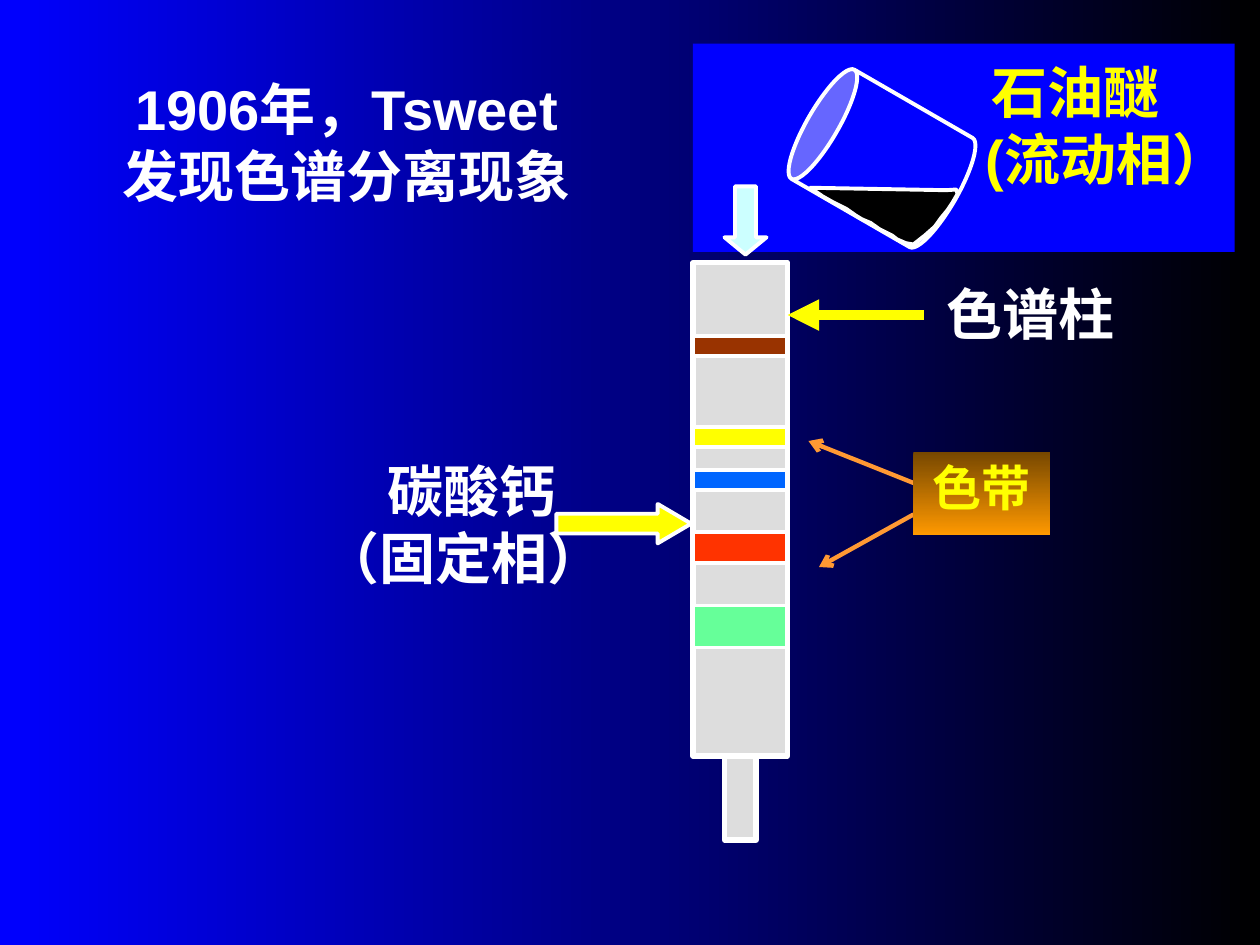
from typing import NamedTuple

from lxml import etree
from pptx import Presentation
from pptx.dml.color import RGBColor
from pptx.enum import shapes, text
from pptx.oxml import ns
from pptx.util import Pt

WHITE = RGBColor(0xFF, 0xFF, 0xFF)
BLACK = RGBColor(0x00, 0x00, 0x00)
BLUE = RGBColor(0x00, 0x00, 0xFF)
YELLOW = RGBColor(0xFF, 0xFF, 0x00)
GREY = RGBColor(0xDD, 0xDD, 0xDD)
BROWN = RGBColor(0x99, 0x33, 0x00)
SKY = RGBColor(0x00, 0x66, 0xFF)
RED = RGBColor(0xFF, 0x33, 0x00)
GREEN = RGBColor(0x66, 0xFF, 0x99)
PALE_CYAN = RGBColor(0xCC, 0xFF, 0xFF)
ORANGE = RGBColor(0xFF, 0x99, 0x33)
TAG_TOP = RGBColor(0x76, 0x47, 0x00)
TAG_BOTTOM = RGBColor(0xFF, 0x99, 0x00)

KIND = shapes.MSO_SHAPE
CENTER = text.PP_ALIGN.CENTER
MIDDLE = text.MSO_ANCHOR.MIDDLE
COLUMN_LEFT, COLUMN_WIDTH = 396, 54


class Box(NamedTuple):
    left: float
    top: float
    width: float
    height: float

    def lengths(self) -> list:
        return [Pt(value) for value in self]


class Solid(NamedTuple):
    kind: int
    box: Box
    fill: RGBColor
    line_width: float = 2.25
    adjustments: tuple = ()
    rotation: float = 0


class Line(NamedTuple):
    start: tuple
    end: tuple
    color: RGBColor
    width: float
    head: str


class Label(NamedTuple):
    box: Box
    lines: tuple  # pairs of wording and left indent
    color: RGBColor
    font: str = "Arial"
    centered: bool = True


def band(top: float, height: float, color: RGBColor) -> Solid:
    return Solid(KIND.RECTANGLE, Box(COLUMN_LEFT, top, COLUMN_WIDTH, height), color)


APPARATUS = (
    Solid(KIND.RECTANGLE, Box(COLUMN_LEFT, 150, COLUMN_WIDTH, 282), GREY, 3),
    Solid(KIND.RECTANGLE, Box(414, 432, 18, 48), GREY, 3),
    band(192, 11.5, BROWN),
    band(244, 11.5, YELLOW),
    band(268.5, 11.5, SKY),
    band(304, 18, RED),
    band(346, 24, GREEN),
    Solid(KIND.RIGHT_ARROW, Box(318, 288, 77, 22.5), YELLOW, 2.25, (0.5, 0.85)),
    Solid(KIND.RECTANGLE, Box(396, 25, 309.5, 119), BLUE, 0),
    Solid(KIND.CAN, Box(468, 42.5, 72, 96), BLUE, 2.25, (0.25,), 300),
)
DOWN_ARROW = Solid(KIND.DOWN_ARROW, Box(414, 106.5, 24, 39), PALE_CYAN, 2.25, (0.5, 0.41))

LIQUID = (
    (463, 107.3), (540.7, 108.7), (546.5, 108.3), (547.2, 110.9), (544.3, 115.9),
    (541.4, 120.2), (537.8, 124.6), (534.2, 129.6), (528.5, 134.6), (522, 139.7),
    (517.7, 139), (512.6, 136.8), (509.8, 134.6), (502.6, 131), (497.5, 127.4),
    (492.5, 125.3), (488.9, 123.1), (483.8, 119.5), (476.6, 115.9), (470.2, 112.3),
)

LABELS = (
    Label(Box(166.5, 257, 196.5, 84), (("碳酸钙", 9), ("（固定相）", 0)), WHITE),
    Label(Box(516.5, 29, 196.5, 84), (("石油醚", 0), ("(流动相）", 35.5)), YELLOW),
    Label(Box(534, 156, 138, 46), (("色谱柱", 0),), WHITE, "Times New Roman", False),
)

LINES = (
    Line((528, 180), (450, 180), YELLOW, 6, "triangle"),
    Line((522, 276), (462, 252), ORANGE, 2.5, "arrow"),
    Line((522, 294), (468, 324), ORANGE, 2.5, "arrow"),
)


def add_run(paragraph, wording: str, size: float, color: RGBColor, font: str) -> None:
    run = paragraph.add_run()
    run.text = wording
    run.font.size = Pt(size)
    run.font.bold = True
    run.font.name = font
    run.font.color.rgb = color


def set_indent(paragraph, left: float, first: float = 0) -> None:
    properties = paragraph._p.get_or_add_pPr()
    properties.set("marL", str(Pt(left)))
    properties.set("indent", str(Pt(first)))


def paint(shape, fill: RGBColor, line_width: float) -> None:
    shape.shadow.inherit = False
    shape.fill.solid()
    shape.fill.fore_color.rgb = fill
    if line_width:
        shape.line.color.rgb = WHITE
        shape.line.width = Pt(line_width)
    else:
        shape.line.fill.background()


def set_gradient(fill, colors: tuple, angle: float) -> None:
    fill.gradient()
    fill.gradient_angle = angle
    for stop, color in zip(fill.gradient_stops, colors):
        stop.color.rgb = color


def draw_solid(slide, solid: Solid) -> None:
    shape = slide.shapes.add_shape(solid.kind, *solid.box.lengths())
    paint(shape, solid.fill, solid.line_width)
    for index, value in enumerate(solid.adjustments):
        shape.adjustments[index] = value
    shape.rotation = solid.rotation


def draw_liquid(slide) -> None:
    tenths = [(x * 10, y * 10) for x, y in LIQUID]
    builder = slide.shapes.build_freeform(*tenths[0], scale=Pt(1) / 10)
    builder.add_line_segments(tenths[1:], close=True)
    paint(builder.convert_to_shape(), BLACK, 2.25)


def draw_label(slide, label: Label) -> None:
    frame = slide.shapes.add_textbox(*label.box.lengths()).text_frame
    frame.word_wrap = not label.centered
    if label.centered:
        frame.vertical_anchor = MIDDLE
    for index, (wording, indent) in enumerate(label.lines):
        paragraph = frame.add_paragraph() if index else frame.paragraphs[0]
        if label.centered:
            paragraph.alignment = CENTER
        set_indent(paragraph, indent)
        add_run(paragraph, wording, 32, label.color, label.font)


def draw_line(slide, line: Line) -> None:
    ends = [Pt(value) for value in line.start + line.end]
    connector = slide.shapes.add_connector(shapes.MSO_CONNECTOR.STRAIGHT, *ends)
    connector.line.color.rgb = line.color
    connector.line.width = Pt(line.width)
    etree.SubElement(connector.line._get_or_add_ln(), ns.qn("a:tailEnd"), type=line.head)
    etree.SubElement(connector._element.spPr, ns.qn("a:effectLst"))


def draw_band_tag(slide) -> None:
    tag = slide.shapes.add_shape(KIND.RECTANGLE, *Box(522, 258, 78, 48).lengths())
    tag.shadow.inherit = False
    set_gradient(tag.fill, (TAG_TOP, TAG_BOTTOM), 270)
    tag.line.fill.background()
    tag.text_frame.word_wrap = True
    tag.text_frame.vertical_anchor = text.MSO_ANCHOR.TOP
    paragraph = tag.text_frame.paragraphs[0]
    paragraph.alignment = CENTER
    set_indent(paragraph, 27, -27)
    add_run(paragraph, "色带", 28, YELLOW, "Times New Roman")


def fill_title(title) -> None:
    title.left, title.top, title.width, title.height = Box(24, 24, 348, 114).lengths()
    title.text_frame.vertical_anchor = MIDDLE
    paragraph = title.text_frame.paragraphs[0]
    paragraph.alignment = CENTER
    add_run(paragraph, "1906年，Tsweet", 32, WHITE, "Arial")
    paragraph.add_line_break()
    add_run(paragraph, "发现色谱分离现象", 32, WHITE, "Arial")


def main() -> None:
    presentation = Presentation()
    presentation.slide_width, presentation.slide_height = Pt(720), Pt(540)
    slide = presentation.slides.add_slide(presentation.slide_layouts[5])
    set_gradient(slide.background.fill, (BLUE, BLACK), 0)
    fill_title(slide.shapes.title)
    for solid in APPARATUS:
        draw_solid(slide, solid)
    draw_liquid(slide)
    draw_solid(slide, DOWN_ARROW)
    for label in LABELS:
        draw_label(slide, label)
    for line in LINES:
        draw_line(slide, line)
    draw_band_tag(slide)
    presentation.save("out.pptx")


if __name__ == "__main__":
    main()
